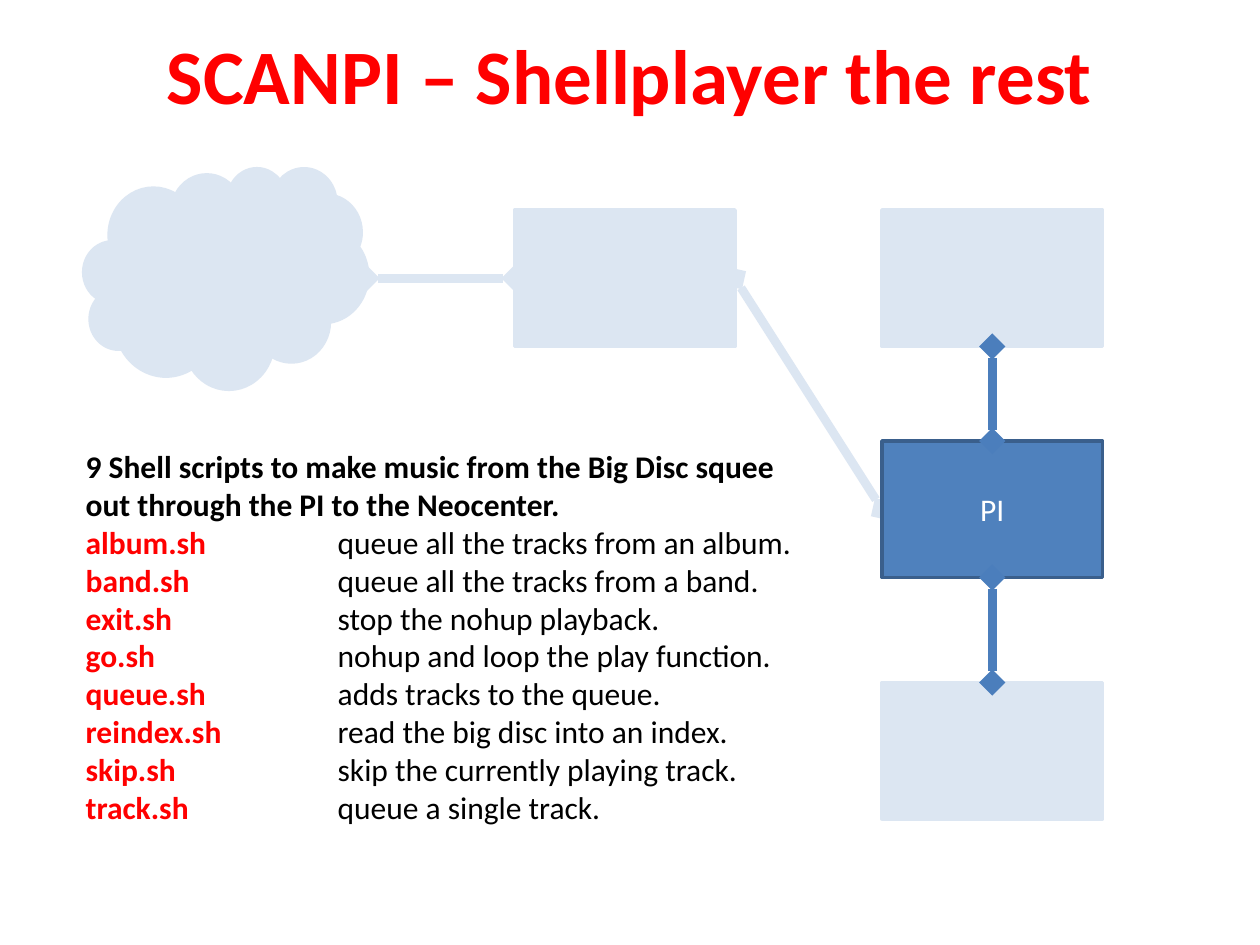
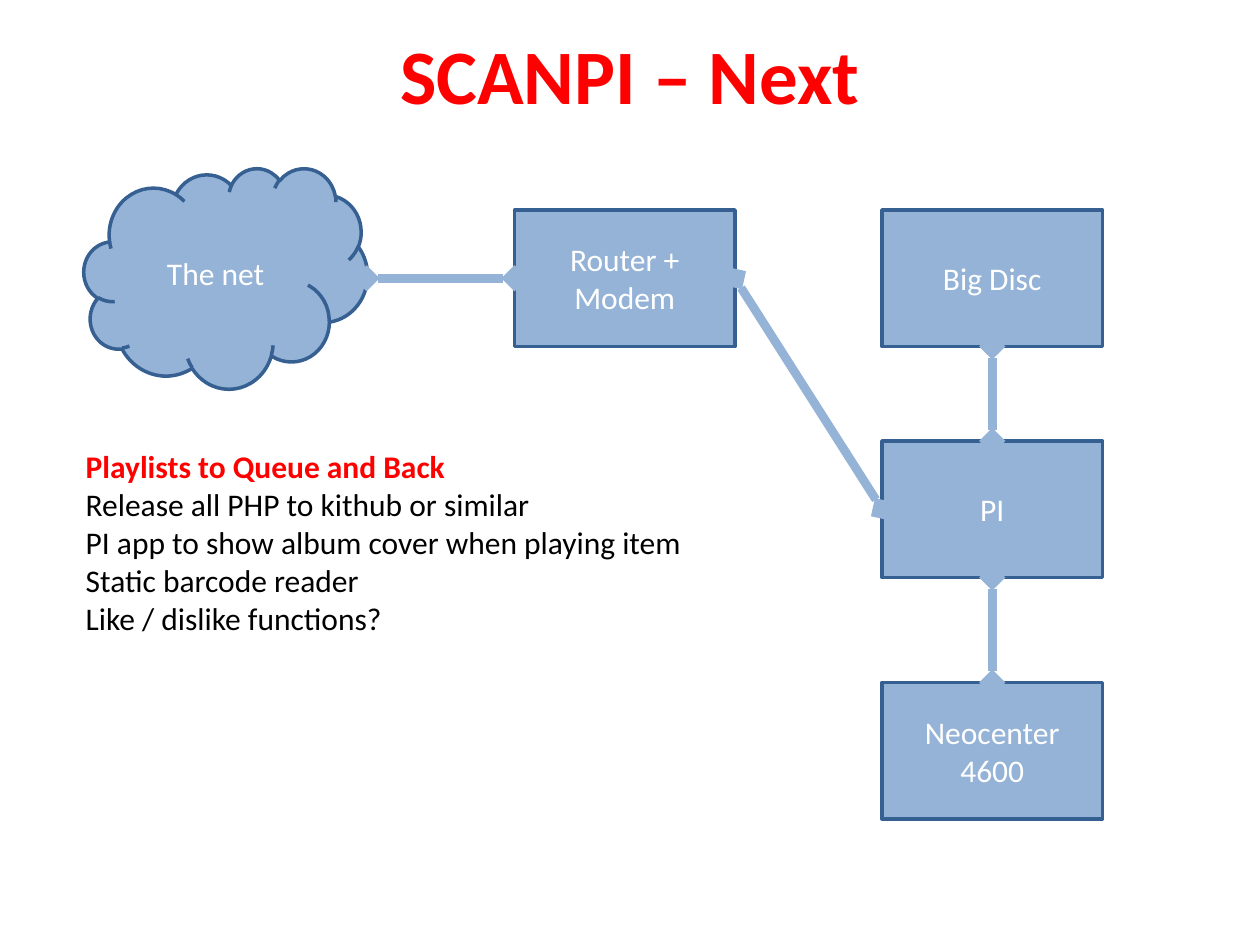
from collections import namedtuple

from lxml.etree import SubElement
from pptx import Presentation
from pptx.dml.color import RGBColor
from pptx.enum.shapes import MSO_CONNECTOR, MSO_SHAPE
from pptx.enum.text import MSO_ANCHOR, MSO_AUTO_SIZE, PP_ALIGN
from pptx.oxml.ns import qn
from pptx.util import Inches, Pt

FONT = "Calibri"
RED = RGBColor(0xFF, 0x00, 0x00)
BLACK = RGBColor(0x00, 0x00, 0x00)
WHITE = RGBColor(0xFF, 0xFF, 0xFF)
PALE = RGBColor(0xDC, 0xE6, 0xF2)
STRONG = RGBColor(0x4F, 0x81, 0xBD)
STRONG_EDGE = RGBColor(0x3A, 0x5F, 0x8C)
STRONG_LINK = RGBColor(0x4B, 0x7E, 0xBC)
MEDIUM = RGBColor(0x95, 0xB3, 0xD7)
MEDIUM_EDGE = RGBColor(0x37, 0x60, 0x92)

Look = namedtuple("Look", "fill edge link labelled")
FADED = Look(PALE, PALE, PALE, False)
ACTIVE = Look(STRONG, STRONG_EDGE, STRONG_LINK, True)
NORMAL = Look(MEDIUM, MEDIUM_EDGE, MEDIUM, True)

# Diagram on a grid of twelfths of an inch
BOX_WIDTH, BOX_HEIGHT = 21 / 12, 13 / 12
ROUTER_LEFT, DEVICE_LEFT = 49 / 12, 7
TOP_ROW, PI_ROW, PLAYER_ROW = 20 / 12, 42 / 12, 65 / 12
CLOUD = (8 / 12, 16 / 12, 27 / 12, 21 / 12)
LINK_Y = TOP_ROW + BOX_HEIGHT / 2
DEVICE_X = DEVICE_LEFT + BOX_WIDTH / 2

# Left, top, width, height and label of each node
NODES = {
    "net": (MSO_SHAPE.CLOUD, CLOUD, ["The net"]),
    "router": (MSO_SHAPE.RECTANGLE, (ROUTER_LEFT, TOP_ROW, BOX_WIDTH, BOX_HEIGHT), ["Router + Modem"]),
    "player": (MSO_SHAPE.RECTANGLE, (DEVICE_LEFT, PLAYER_ROW, BOX_WIDTH, BOX_HEIGHT), ["Neocenter", "4600"]),
    "disc": (MSO_SHAPE.RECTANGLE, (DEVICE_LEFT, TOP_ROW, BOX_WIDTH, BOX_HEIGHT), ["Big Disc"]),
    "pi": (MSO_SHAPE.RECTANGLE, (DEVICE_LEFT, PI_ROW, BOX_WIDTH, BOX_HEIGHT), ["PI"]),
}
# Both ends of each link
LINKS = {
    "router-pi": (ROUTER_LEFT + BOX_WIDTH, LINK_Y, DEVICE_LEFT, PI_ROW + BOX_HEIGHT / 2),
    "net-router": (2.91, LINK_Y, ROUTER_LEFT, LINK_Y),
    "pi-player": (DEVICE_X, PI_ROW + BOX_HEIGHT, DEVICE_X, PLAYER_ROW),
    "disc-pi": (DEVICE_X, TOP_ROW + BOX_HEIGHT, DEVICE_X, PI_ROW),
}

SCRIPTS = {
    "album.sh": "queue all the tracks from an album.",
    "band.sh": "queue all the tracks from a band.",
    "exit.sh": "stop the nohup playback.",
    "go.sh": "nohup and loop the play function.",
    "queue.sh": "adds tracks to the queue.",
    "reindex.sh": "read the big disc into an index.",
    "skip.sh": "skip the currently playing track.",
    "track.sh": "queue a single track.",
}
NEXT_STEPS = [
    "Release all PHP to kithub or similar",
    "PI app to show album cover when playing item",
    "Static barcode reader",
    "Like / dislike functions?",
]


def add_text(paragraph, text, size=18, color=BLACK, bold=False, align=None):
    """Append a formatted run to a paragraph."""
    run = paragraph.add_run()
    run.text = text
    run.font.name = FONT
    run.font.size = Pt(size)
    run.font.bold = bold
    run.font.color.rgb = color
    if align is not None:
        paragraph.alignment = align


def paragraphs_for(frame, items):
    """Yield one paragraph of the frame with each item."""
    for index, item in enumerate(items):
        yield (frame.add_paragraph() if index else frame.paragraphs[0]), item


class Deck:
    def __init__(self):
        self.presentation = Presentation()
        self.presentation.slide_width = Inches(10)
        self.presentation.slide_height = Inches(7.5)
        self.slide = None

    def new_slide(self, title):
        self.slide = self.presentation.slides.add_slide(self.presentation.slide_layouts[1])
        frame = self.place(self.slide.shapes.title, 0.75, 0.17, 8.5, 0.83)
        frame.vertical_anchor = MSO_ANCHOR.MIDDLE
        add_text(frame.paragraphs[0], title, size=44, color=RED, bold=True, align=PP_ALIGN.CENTER)

    def place(self, shape, left, top, width, height):
        shape.left, shape.top = Inches(left), Inches(top)
        shape.width, shape.height = Inches(width), Inches(height)
        shape.text_frame.auto_size = MSO_AUTO_SIZE.NONE
        shape.text_frame.word_wrap = True
        return shape.text_frame

    def body(self, lines, height):
        """Fill the list; each line is a list of (text, format) runs."""
        frame = self.place(self.slide.placeholders[1], 0.58, 3.5, 5.83, height)
        for paragraph, runs in paragraphs_for(frame, lines):
            paragraph.space_before = Pt(0)
            properties = paragraph._p.get_or_add_pPr()
            properties.set("marL", "0")
            properties.set("indent", "0")
            properties.set("defTabSz", str(Inches(2)))
            SubElement(properties, qn("a:buNone"))
            for text, style in runs:
                add_text(paragraph, text, **style)

    def node(self, name, look):
        kind, box, lines = NODES[name]
        shape = self.slide.shapes.add_shape(kind, *map(Inches, box))
        shape.shadow.inherit = False
        shape.fill.solid()
        shape.fill.fore_color.rgb = look.fill
        shape.line.color.rgb = look.edge
        shape.line.width = Pt(2)
        if look.labelled:
            frame = shape.text_frame
            frame.word_wrap = True
            frame.vertical_anchor = MSO_ANCHOR.MIDDLE
            for paragraph, line in paragraphs_for(frame, lines):
                add_text(paragraph, line, color=WHITE, align=PP_ALIGN.CENTER)

    def link(self, name, look):
        connector = self.slide.shapes.add_connector(MSO_CONNECTOR.STRAIGHT, *map(Inches, LINKS[name]))
        connector.line.color.rgb = look.link
        connector.line.width = Pt(5)
        line = connector.line._get_or_add_ln()
        for end in ("a:headEnd", "a:tailEnd"):
            SubElement(line, qn(end), type="diamond")
        SubElement(connector._element.spPr, qn("a:effectLst"))

    def diagram(self, look, highlighted=()):
        """Draw nodes, then links; highlighted parts come last, on top."""
        for part_look, chosen in ((look, False), (ACTIVE, True)):
            for parts, draw in ((NODES, self.node), (LINKS, self.link)):
                for name in parts:
                    if (name in highlighted) == chosen:
                        draw(name, part_look)


def main():
    deck = Deck()
    heading, red_heading = {"bold": True}, {"bold": True, "color": RED}

    # Shell scripts
    deck.new_slide("SCANPI – Shellplayer the rest")
    intro = "9 Shell scripts to make music from the Big Disc squee out through the PI to the Neocenter."
    script_lines = [[(script + "\t", red_heading), (purpose, {})] for script, purpose in SCRIPTS.items()]
    deck.body([[(intro, heading)]] + script_lines, height=3.13)
    deck.diagram(FADED, highlighted=("pi", "pi-player", "disc-pi"))

    # Next steps
    deck.new_slide("SCANPI – Next")
    step_lines = [[(step, {})] for step in NEXT_STEPS]
    deck.body([[("Playlists to Queue and Back", red_heading)]] + step_lines, height=1.92)
    deck.diagram(NORMAL)

    deck.presentation.save("out.pptx")


if __name__ == "__main__":
    main()
